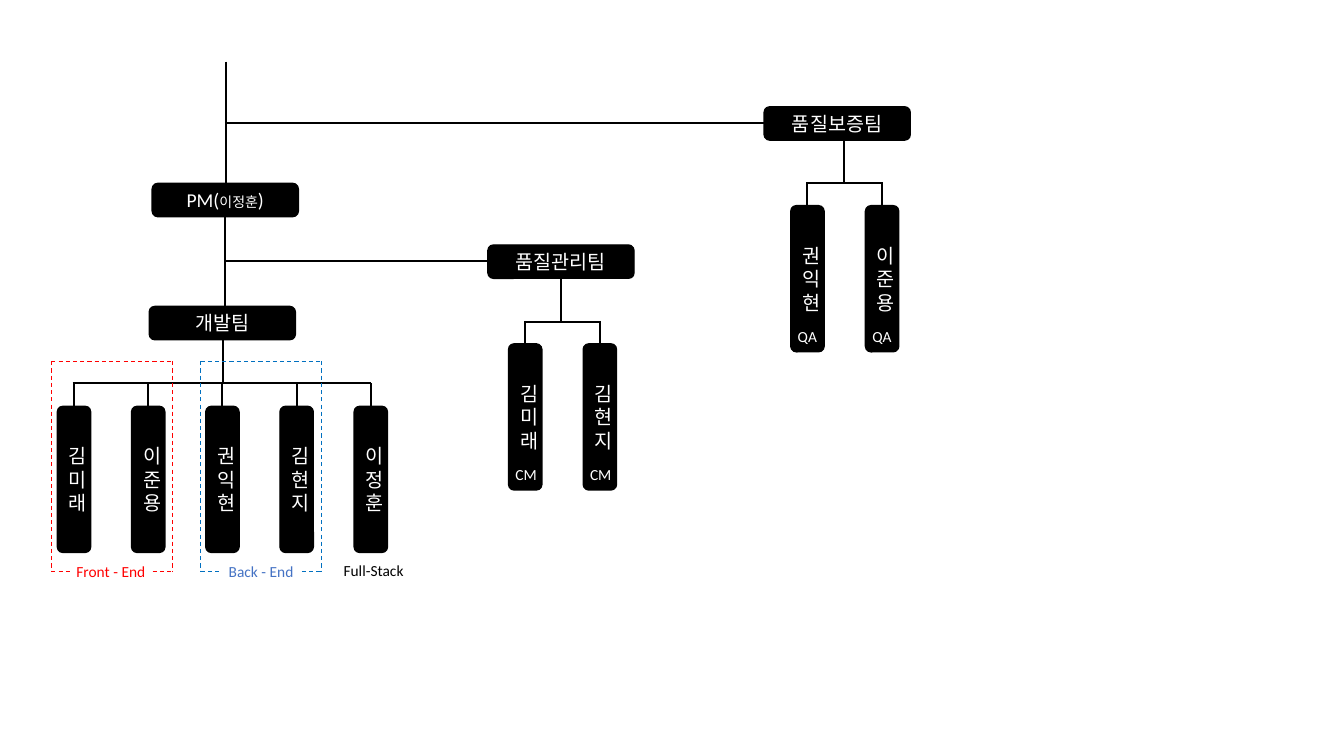
import pptx
import pptx.util
import pptx.dml.color
import pptx.enum.dml
import pptx.enum.shapes
import pptx.enum.text
import pptx.oxml
from dataclasses import dataclass

Pt = pptx.util.Pt


@dataclass(frozen=True)
class Theme:
    """Colours, type sizes and box measures of the chart."""
    font: str = "Calibri"
    black: str = "000000"
    white: str = "FFFFFF"
    red: str = "FF0000"
    blue: str = "0070C0"
    label: str = "4472C4"
    head: int = 14
    note: int = 11
    small: int = 10
    long: float = 104.4
    short: float = 23.8


THEME = Theme()


def tint(code):
    """Turn a hex code into a colour."""
    return pptx.dml.color.RGBColor.from_string(code)


def write(frame, runs, color):
    """Add (text, size) runs to the first paragraph of a frame."""
    for text, size in runs:
        run = frame.paragraphs[0].add_run()
        run.text = text
        run.font.name = THEME.font
        run.font.size = Pt(size)
        run.font.color.rgb = tint(color)


def rule(slide, x1, y1, x2, y2, color=THEME.black, dash=False):
    """Draw a solid branch or a thin dashed line."""
    line = slide.shapes.add_connector(
        pptx.enum.shapes.MSO_CONNECTOR.STRAIGHT, Pt(x1), Pt(y1), Pt(x2), Pt(y2))
    line.line.color.rgb = tint(color)
    line.line.width = Pt(0.75 if dash else 1.5)
    if dash:
        line.line.dash_style = pptx.enum.dml.MSO_LINE.DASH
    props = line._element.spPr
    props.append(pptx.oxml.parse_xml(
        '<a:effectLst xmlns:a="http://schemas.openxmlformats.org/drawingml/2006/main"/>'))


def box(slide, left, top, wide, high, runs):
    """Draw a black rounded box with centred white text."""
    shape = slide.shapes.add_shape(
        pptx.enum.shapes.MSO_SHAPE.ROUNDED_RECTANGLE,
        Pt(left), Pt(top), Pt(wide), Pt(high))
    shape.shadow.inherit = False
    shape.fill.solid()
    shape.fill.fore_color.rgb = tint(THEME.black)
    shape.line.color.rgb = tint(THEME.black)
    shape.line.width = Pt(1)
    frame = shape.text_frame
    frame.word_wrap = True
    frame.vertical_anchor = pptx.enum.text.MSO_ANCHOR.MIDDLE
    frame.paragraphs[0].alignment = pptx.enum.text.PP_ALIGN.CENTER
    write(frame, runs, THEME.white)


def team(slide, left, top, *runs):
    """Draw a wide team box."""
    box(slide, left, top, THEME.long, THEME.short, runs)


def member(slide, left, top, name):
    """Draw a tall box, whose narrow width stacks the name."""
    box(slide, left, top, THEME.short, THEME.long, [(name, THEME.head)])


def note(slide, left, top, wide, text, color):
    """Add a small one-line label."""
    area = slide.shapes.add_textbox(Pt(left), Pt(top), Pt(wide), Pt(20.6))
    area.text_frame.word_wrap = False
    write(area.text_frame, [(text, THEME.note)], color)


def pair(slide, stem, top, names, role):
    """Hang two members with a shared role below a team."""
    bar = top + 31
    rule(slide, stem, top, stem, bar)
    rule(slide, stem - 26.6, bar, stem + 28.1, bar)
    for name, drop in zip(names, (stem - 25.9, stem + 27.4)):
        rule(slide, drop, bar - 0.5, drop, bar + 16)
        member(slide, drop - 11.8, bar + 15.9, name)
        note(slide, drop - 14, bar + 99.2, 30, role, THEME.white)


def squad(slide, left, top, names):
    """Hang the evenly spaced developers from one bar."""
    pitch, half = 53, THEME.short / 2
    first = left + half
    last = first + pitch * (len(names) - 1)
    rule(slide, first - 1, top, last, top)
    for i, name in enumerate(names):
        drop = first + i * pitch
        rule(slide, drop, top, drop, top + 16.8)
        member(slide, drop - half, top + 16.6, name)


def group(slide, left, text, color, ink, shift):
    """Frame two developers, leaving a gap for the label below."""
    right, top, base, stub = left + 86.4, 258, 408, 14
    for ends in ((left, top, right, top), (left, top, left, base),
                 (right, top, right, base), (left, base, left + stub, base),
                 (right - stub, base, right, base)):
        rule(slide, *ends, color=color, dash=True)
    note(slide, left + shift, 397.8, 67, text, ink)


def main():
    """Build the team chart and save it."""
    deck = pptx.Presentation()
    deck.slide_width, deck.slide_height = Pt(960), Pt(540)
    slide = deck.slides.add_slide(deck.slide_layouts[6])
    big = THEME.head

    rule(slide, 161.3, 44, 161.3, 132.5)
    rule(slide, 160.6, 87.8, 547, 87.8)
    rule(slide, 160.6, 154.8, 160.6, 219)
    rule(slide, 160.6, 186.5, 348.5, 186.5)
    rule(slide, 159.1, 242, 159.1, 273.6)

    team(slide, 108.7, 131, ("PM(", big), ("이정훈", THEME.small), (")", big))
    team(slide, 545.8, 76.3, ("품질보증팀", big))
    team(slide, 348.5, 175, ("품질관리팀", big))
    team(slide, 106.6, 218.9, ("개발팀", big))

    pair(slide, 602.6, 100, ("권익현", "이준용"), "QA")
    pair(slide, 401, 198.7, ("김미래", "김현지"), "CM")
    squad(slide, 41, 273.6, ("김미래", "이준용", "권익현", "김현지", "이정훈"))

    group(slide, 36.7, "Front - End", THEME.red, THEME.red, 10.8)
    group(slide, 143.3, "Back - End", THEME.blue, THEME.label, 13)
    note(slide, 238.3, 397.4, 59, "Full-Stack", THEME.black)
    deck.save("out.pptx")


main()
